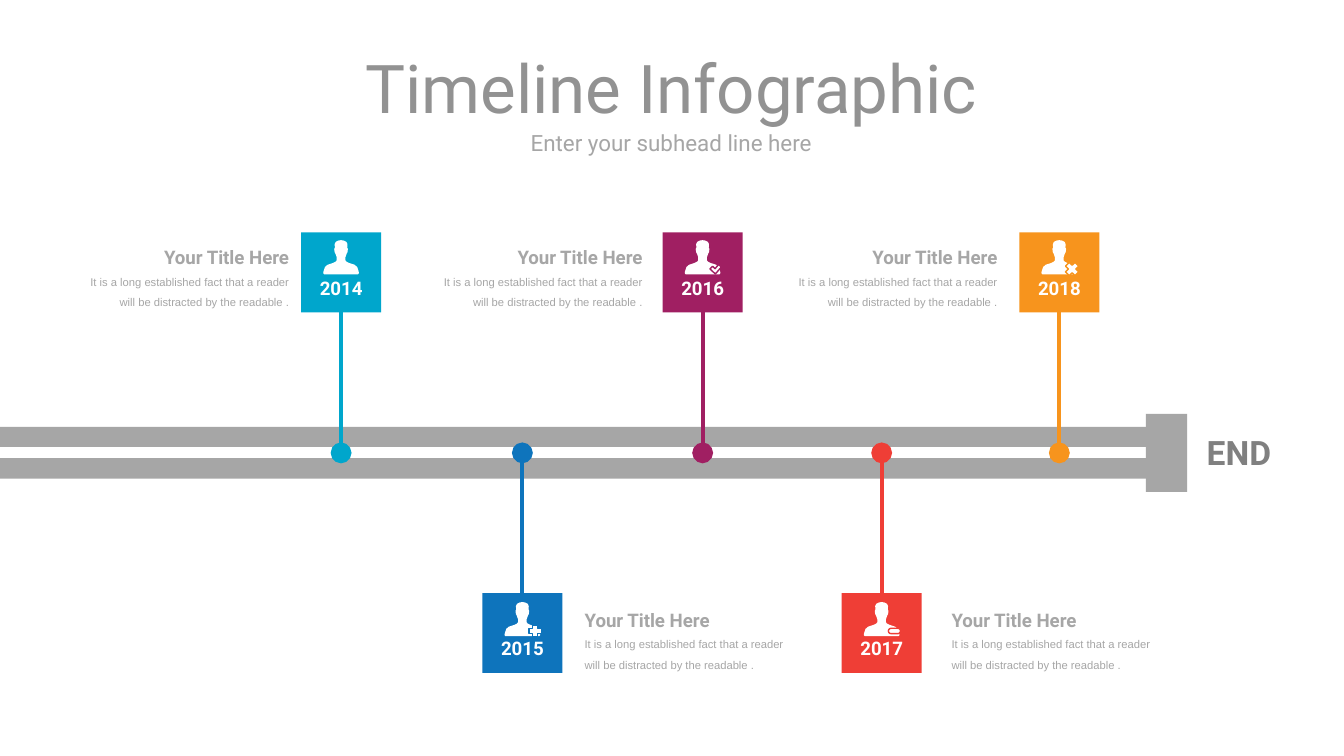
from lxml import etree
from pptx import Presentation, util as u
from pptx.dml.color import RGBColor
from pptx.enum import shapes, text
from pptx.oxml.ns import qn

WHITE = RGBColor(0xFF, 0xFF, 0xFF)
TRACK = RGBColor(0xA6, 0xA6, 0xA6)
TITLE = RGBColor(0x92, 0x92, 0x92)
END = RGBColor(0x80, 0x80, 0x80)
CYAN = RGBColor(0x00, 0xA6, 0xCC)
BLUE = RGBColor(0x0E, 0x74, 0xBC)
PLUM = RGBColor(0xA0, 0x1F, 0x62)
RED = RGBColor(0xEF, 0x3E, 0x36)
ORANGE = RGBColor(0xF7, 0x94, 0x1D)

WIDTH = u.Inches(10)
HEIGHT = WIDTH * 9 // 16
CELL = WIDTH / 100
AXIS = 33.7
TILE = 5.95
TILE_ROWS = {"above": 17.3, "below": 44.13}

MILESTONES = [
    ("2014", CYAN, 25.38, "above", 6.3, None),
    ("2015", BLUE, 38.87, "below", 43.5, "plus"),
    ("2016", PLUM, 52.28, "above", 32.6, "tick"),
    ("2017", RED, 65.6, "below", 70.8, "minus"),
    ("2018", ORANGE, 78.82, "above", 59, "cross"),
]
HEADING = "Your Title Here"
BLURB = "It is a long established fact that a reader will be distracted by the readable ."

PERSON = [(0, 0), (0.2, 0.03), (0.4, 0.13), (0.48, 0.3), (0.46, 0.55), (0.51, 0.65),
          (0.48, 0.9), (0.42, 1), (0.32, 1.28), (0.32, 1.5), (0.4, 1.6), (0.6, 1.7),
          (1, 1.83), (1.2, 2), (1.3, 2.3), (1.33, 2.45), (1.26, 2.54)]
TICK = [(0.55, 2.15), (0.75, 1.95), (0.93, 2.13), (1.18, 1.82), (1.4, 2), (0.95, 2.52)]
BADGES = {
    "plus": (shapes.MSO_SHAPE.CROSS, 0, 0.9),
    "cross": (shapes.MSO_SHAPE.CROSS, 45, 1),
    "minus": (shapes.MSO_SHAPE.ROUNDED_RECTANGLE, 0, 0.4),
}


def grid(*cells):
    """Turn counts of grid cells into slide lengths."""
    return [round(n * CELL) for n in cells]


def paint(s, fill, line=None):
    """Give a shape a flat fill, an optional outline and no shadow."""
    s.shadow.inherit = False
    s.fill.solid()
    s.fill.fore_color.rgb = fill
    if line is None:
        s.line.fill.background()
    else:
        s.line.color.rgb = line
        s.line.width = u.Pt(0.75)


def style(p, size, color, bold=False, name="Roboto", align=text.PP_ALIGN.CENTER):
    """Format a paragraph and its runs."""
    p.alignment = align
    for r in p.runs:
        r.font.size = u.Pt(size)
        r.font.name = name
        r.font.bold = bold
        r.font.color.rgb = color


def frame(s, anchor, bottom=0.0, wrap=True):
    """Set anchor, wrapping and margins of a text frame and return it."""
    tf = s.text_frame
    tf.auto_size = text.MSO_AUTO_SIZE.NONE
    tf.word_wrap = wrap
    tf.vertical_anchor = anchor
    tf.margin_left = tf.margin_right = tf.margin_top = 0
    tf.margin_bottom = u.Inches(bottom)
    return tf


def add_heading(s, box, words, size, color, wrap=True):
    """Place a placeholder and fill it with one centred, unbulleted line."""
    s.left, s.top, s.width, s.height = grid(*box)
    tf = frame(s, text.MSO_ANCHOR.MIDDLE, wrap=wrap)
    tf.text = words
    p = tf.paragraphs[0]
    pr = p._p.get_or_add_pPr()
    pr.set("marL", "0")
    pr.set("indent", "0")
    etree.SubElement(pr, qn("a:buNone"))
    p.space_before = u.Pt(0)
    style(p, size, color)


def add_block(sp, box, color):
    """Add a plain rectangle."""
    s = sp.add_shape(shapes.MSO_SHAPE.RECTANGLE, *grid(*box))
    paint(s, color)
    return s


def add_line(sp, ends, color, width, dot=False):
    """Add a straight line, with a round dot at its far end if asked."""
    s = sp.add_connector(shapes.MSO_CONNECTOR.STRAIGHT, *grid(*ends))
    s.line.color.rgb = color
    s.line.width = u.Pt(width)
    if dot:
        etree.SubElement(s.line._get_or_add_ln(), qn("a:tailEnd"),
                         type="oval", w="lg", len="lg")
    etree.SubElement(s._element.spPr, qn("a:effectLst"))


def add_outline(sp, points, x, y, line=None):
    """Add a white closed outline whose points are offsets from x, y."""
    spots = [grid(x + dx, y + dy) for dx, dy in points]
    builder = sp.build_freeform(*spots[0])
    builder.add_line_segments(spots[1:], close=True)
    paint(builder.convert_to_shape(), WHITE, line)


def add_icon(sp, x, y, color, badge):
    """Add a person symbol with an optional status badge."""
    add_outline(sp, PERSON + [(-dx, dy) for dx, dy in reversed(PERSON[1:])], x, y)
    if badge == "tick":
        add_outline(sp, TICK, x, y, color)
    elif badge:
        kind, turn, height = BADGES[badge]
        width = max(height, 0.9)
        s = sp.add_shape(kind, *grid(x + 0.95 - width / 2, y + 2.15 - height / 2, width, height))
        s.adjustments[0] = 0.5 if badge == "minus" else 0.3
        s.rotation = turn
        paint(s, WHITE, color)


def add_caption(sp, left, top, align):
    """Add a heading with its short text beside a tile."""
    tf = frame(sp.add_textbox(*grid(left, top, 15.2, 5.6)), text.MSO_ANCHOR.MIDDLE)
    tf.text = f"{HEADING}\n{BLURB}"
    style(tf.paragraphs[0], 10, TRACK, True, align=align)
    style(tf.paragraphs[1], 6, TRACK, name="Arial", align=align)
    for p in tf.paragraphs:
        p.line_spacing = 1.5


def add_milestone(sp, year, color, x, side, caption_left, badge):
    """Add one year: stem, tile, symbol and caption."""
    top = TILE_ROWS[side]
    above = side == "above"
    add_line(sp, (x, 23.2 if above else 44.9, x, AXIS), color, 2.25, True)
    s = add_block(sp, (x - TILE / 2, top, TILE, TILE), color)
    tf = frame(s, text.MSO_ANCHOR.BOTTOM, 0.1)
    tf.text = year
    style(tf.paragraphs[0], 10, WHITE, True)
    add_icon(sp, x, top + (0.57 if above else 0.67), color, badge)
    align = text.PP_ALIGN.RIGHT if above else text.PP_ALIGN.LEFT
    add_caption(sp, caption_left, top + (0.15 if above else 0.27), align)


def add_track(sp):
    """Add the road with its centre line, end block and label."""
    add_block(sp, (0, 31.77, 85.27, 3.85), TRACK)
    add_line(sp, (87, AXIS, 0, AXIS), WHITE, 6)
    add_block(sp, (85.27, 30.8, 3.07, 5.8), TRACK)
    tf = sp.add_textbox(*grid(88.8, 31.65, 6.8, 4)).text_frame
    tf.text = "END"
    style(tf.paragraphs[0], 18, END, True, align=text.PP_ALIGN.LEFT)


def main():
    """Build the timeline slide."""
    prs = Presentation()
    prs.slide_width, prs.slide_height = WIDTH, HEIGHT
    s = prs.slides.add_slide(prs.slide_layouts[1])
    title, subhead = s.placeholders
    add_heading(title, (4.2, 3.75, 91.5, 5.4), "Timeline Infographic", 36, TITLE)
    add_heading(subhead, (4.2, 9.65, 91.5, 1.9), "Enter your subhead line here", 12, TRACK, False)
    add_track(s.shapes)
    for milestone in MILESTONES:
        add_milestone(s.shapes, *milestone)
    prs.save("out.pptx")


if __name__ == "__main__":
    main()
